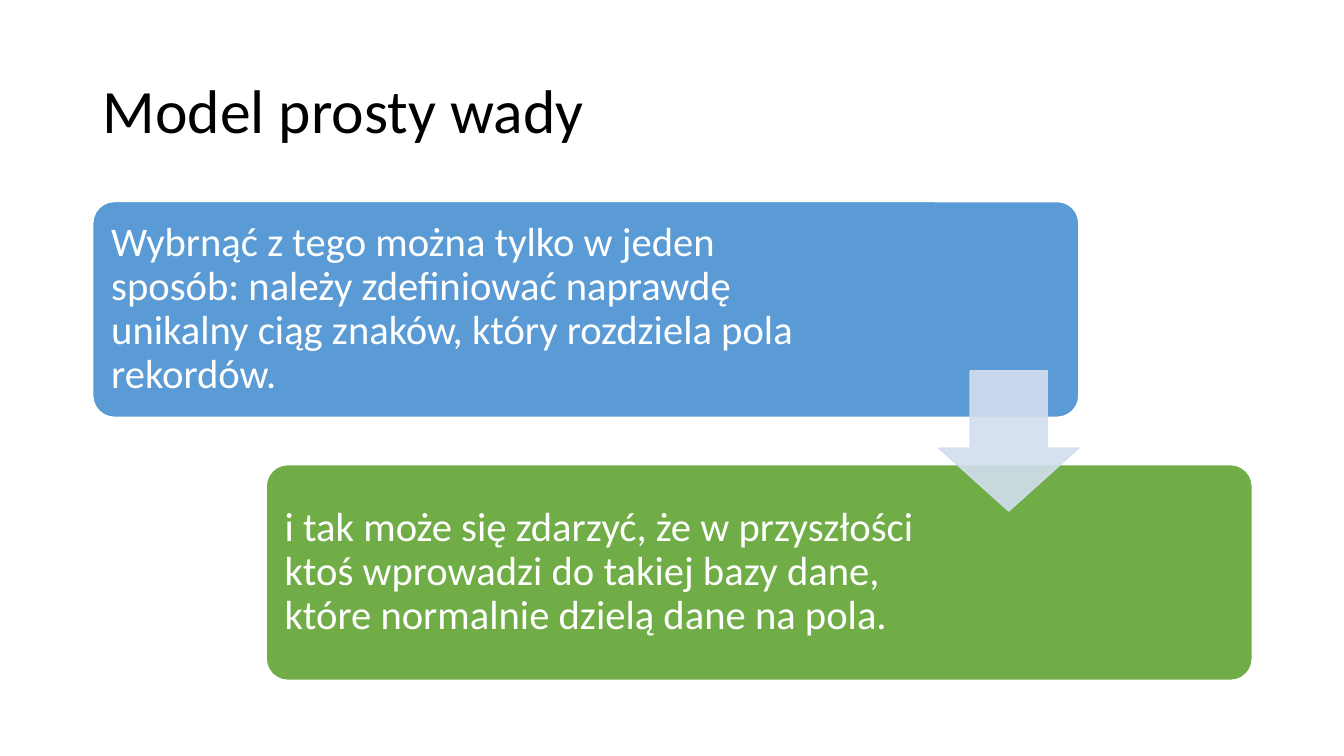
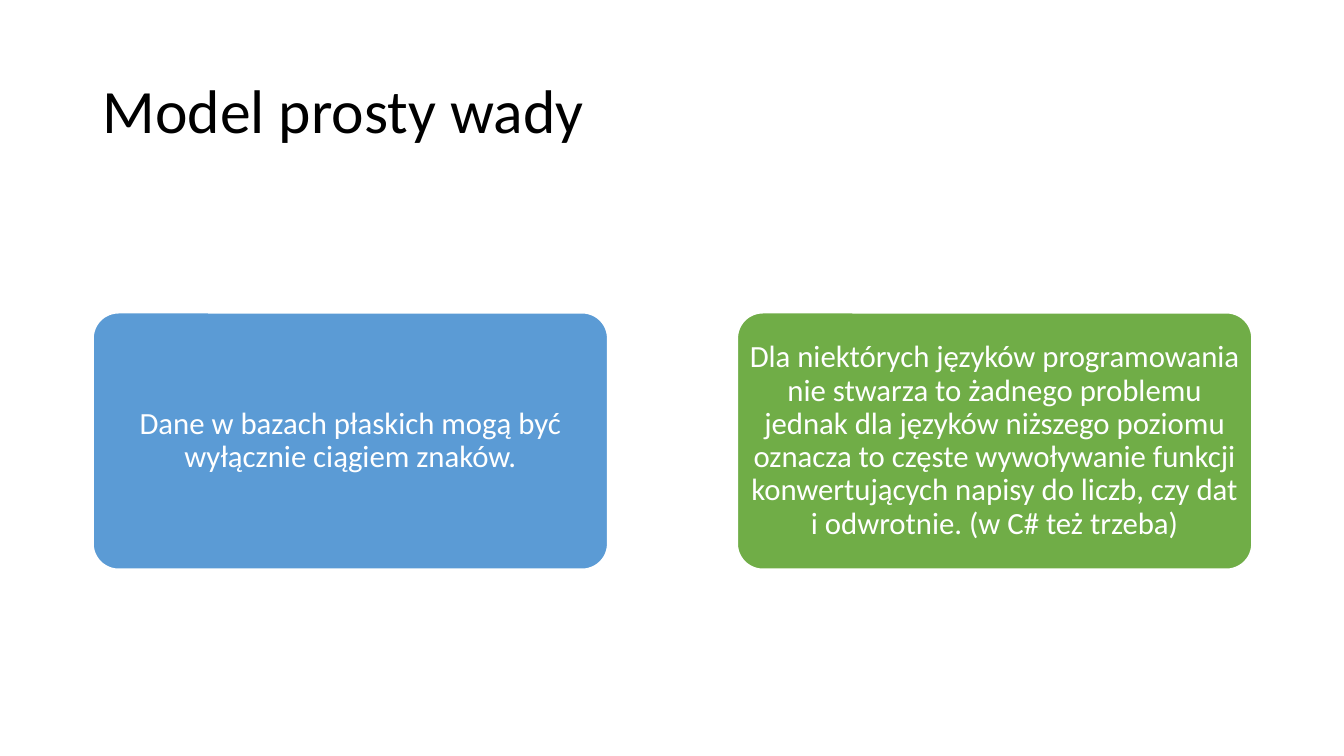
import pptx
import pptx.util
import pptx.dml.color
import pptx.enum.shapes
import pptx.enum.text
import pptx.oxml.ns
import lxml.etree

PX = 9144
FONT = "Calibri"
TITLE = "Model prosty wady"
COLORS = {
    "text": "000000",
    "white": "FFFFFF",
    "blue": "5B9BD5",
    "green": "70AD47",
    "arrow": "D2DEEF",
}
LEFT, CONTENT_WIDTH = 92, 1150
RIGHT = LEFT + CONTENT_WIDTH
ALIGN = pptx.enum.text.PP_ALIGN
SHAPE = pptx.enum.shapes.MSO_SHAPE


def px(*lengths):
    return [pptx.util.Emu(length * PX) for length in lengths]


def rgb(name):
    return pptx.dml.color.RGBColor.from_string(COLORS[name])


def write(frame, text, size, color, align):
    frame.text = text
    frame.word_wrap = True
    frame.auto_size = pptx.enum.text.MSO_AUTO_SIZE.NONE
    frame.vertical_anchor = pptx.enum.text.MSO_ANCHOR.MIDDLE
    paragraph = frame.paragraphs[0]
    paragraph.alignment = align
    paragraph.line_spacing = 0.9
    paragraph.font.name = FONT
    paragraph.font.size = pptx.util.Pt(size)
    paragraph.font.color.rgb = rgb(color)


def add_titled_slide(deck):
    slide = deck.slides.add_slide(deck.slide_layouts[5])
    title = slide.shapes.title
    title.left, title.top, title.width, title.height = px(LEFT, 40, CONTENT_WIDTH, 145)
    write(title.text_frame, TITLE, 44, "text", ALIGN.LEFT)
    return slide


def add_filled(slide, preset, box, fill, line, line_width, adjustments):
    shape = slide.shapes.add_shape(preset, *px(*box))
    shape.shadow.inherit = False
    for index, value in enumerate(adjustments):
        shape.adjustments[index] = value
    shape.fill.solid()
    shape.fill.fore_color.rgb = rgb(fill)
    shape.line.color.rgb = rgb(line)
    shape.line.width = pptx.util.Pt(line_width)
    return shape


def add_card(slide, box, fill, text, size, align, insets, line_width):
    card = add_filled(slide, SHAPE.ROUNDED_RECTANGLE, box, fill, "white", line_width, [0.1])
    frame = card.text_frame
    frame.margin_left, frame.margin_top, frame.margin_right, frame.margin_bottom = px(*insets)
    write(frame, text, size, "white", align)


def add_down_arrow(slide, box):
    arrow = add_filled(slide, SHAPE.DOWN_ARROW, box, "arrow", "arrow", 1, [0.55, 0.45])
    qn = pptx.oxml.ns.qn
    for color in arrow.element.spPr.iter(qn("a:srgbClr")):
        lxml.etree.SubElement(color, qn("a:alpha"), val="90000")


def build_steps(deck):
    slide = add_titled_slide(deck)
    width, height, top, step = 978, 214, 200, 261
    steps = [
        (LEFT, "blue", 222,
         "Wybrnąć z tego można tylko w jeden sposób: należy zdefiniować naprawdę "
         "unikalny ciąg znaków, który rozdziela pola rekordów."),
        (RIGHT - width, "green", 325,
         "i tak może się zdarzyć, że w przyszłości ktoś wprowadzi do takiej bazy dane, "
         "które normalnie dzielą dane na pola."),
    ]
    for row, (left, fill, right_inset, text) in enumerate(steps):
        add_card(slide, (left, top + row * step, width, height), fill, text, 29,
                 ALIGN.LEFT, (12, 12, right_inset, 12), 1)
    arrow_size = 139
    add_down_arrow(slide, (LEFT + width - arrow_size, 368, arrow_size, arrow_size))


def build_pair(deck):
    slide = add_titled_slide(deck)
    width, height, top = 511, 255, 310
    cards = [
        (LEFT, "blue", "Dane w bazach płaskich mogą być wyłącznie ciągiem znaków."),
        (RIGHT - width, "green",
         "Dla niektórych języków programowania nie stwarza to żadnego problemu jednak "
         "dla języków niższego poziomu oznacza to częste wywoływanie funkcji "
         "konwertujących napisy do liczb, czy dat i odwrotnie. (w C# też trzeba)"),
    ]
    for left, fill, text in cards:
        add_card(slide, (left, top, width, height), fill, text, 22,
                 ALIGN.CENTER, (5, 3, 5, 3), 1.5)


def main():
    deck = pptx.Presentation()
    deck.slide_width, deck.slide_height = px(1333, 750)
    build_steps(deck)
    build_pair(deck)
    deck.save("out.pptx")


if __name__ == "__main__":
    main()
